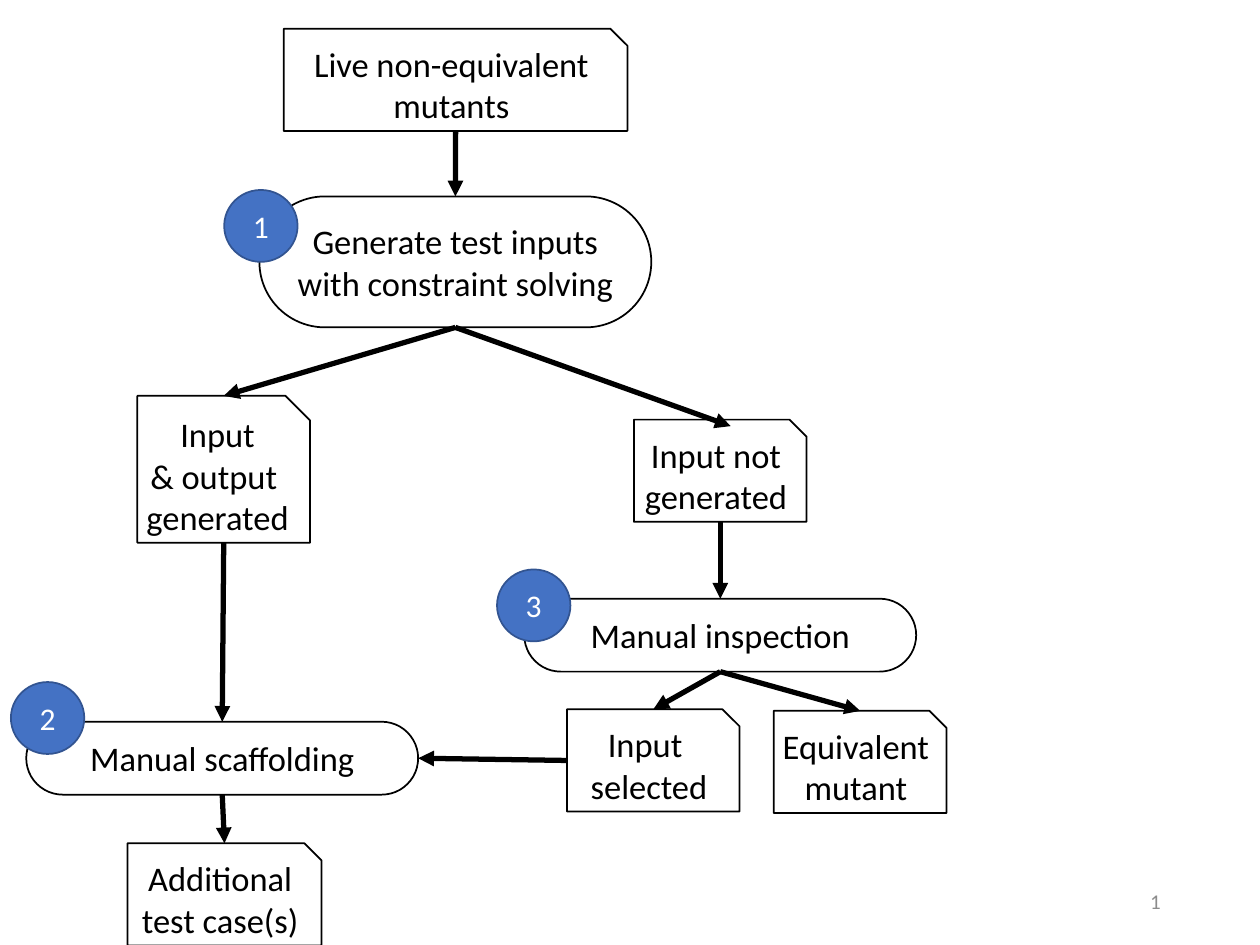
from pptx import Presentation
from pptx import util as u
from pptx.dml.color import RGBColor
from pptx.enum import shapes, text
from pptx.oxml.ns import qn
from lxml import etree

TOP, LEFT, BASE, RIGHT = range(4)
KIND = shapes.MSO_SHAPE
ALIGN = text.PP_ALIGN


def paint(color, value):
    color.rgb = RGBColor.from_string(value)


def write(shape, words, size, color, align=ALIGN.CENTER):
    frame = shape.text_frame
    frame.text = words
    frame.word_wrap = True
    frame.vertical_anchor = text.MSO_ANCHOR.MIDDLE
    for para in frame.paragraphs:
        para.alignment = align
        for run in para.runs:
            run.font.name = "Calibri"
            run.font.size = u.Pt(size)
            paint(run.font.color, color)


def add_shape(slide, kind, area, fill, line):
    shape = slide.shapes.add_shape(kind, *map(u.Cm, area))
    shape.shadow.inherit = False
    if fill:
        shape.fill.solid()
        paint(shape.fill.fore_color, fill)
    else:
        shape.fill.background()
    paint(shape.line.color, line)
    shape.line.width = u.Pt(1)
    frame = shape.text_frame
    frame.margin_left = frame.margin_right = u.Cm(0.1)
    frame.margin_top = frame.margin_bottom = u.Cm(0.1)
    return shape


def add_card(slide, words, left, top, width=3.48, height=2.06):
    area = (left, top, width, height)
    card = add_shape(slide, KIND.SNIP_1_RECTANGLE, area, None, "000000")
    write(card, words, 19.7, "000000")
    return card


def add_step(slide, words, left, top, height=1.47):
    area = (left, top, 7.9, height)
    step = add_shape(slide, KIND.ROUNDED_RECTANGLE, area, "FFFFFF", "000000")
    step.adjustments[0] = 0.5
    write(step, words, 19.7, "000000")
    return step


def add_badge(slide, words, left, top):
    area = (left, top, 1.48, 1.45)
    badge = add_shape(slide, KIND.OVAL, area, "4472C4", "325491")
    write(badge, words, 18, "FFFFFF")


def add_arrow(slide, start, side, end=None, port=TOP, point=(0, 0)):
    x, y = map(u.Cm, point)
    arrow = slide.shapes.add_connector(
        shapes.MSO_CONNECTOR.STRAIGHT, x, y, x, y)
    arrow.begin_connect(start, side)
    if end is not None:
        arrow.end_connect(end, port)
    paint(arrow.line.color, "000000")
    arrow.line.width = u.Pt(3)
    tail = etree.SubElement(arrow.line._get_or_add_ln(), qn("a:tailEnd"))
    tail.set("type", "triangle")
    etree.SubElement(arrow._element.spPr, qn("a:effectLst"))


def add_number(slide, words):
    box = slide.shapes.add_textbox(*map(u.Cm, (17.93, 17.65, 5.72, 1.02)))
    write(box, words, 12, "8C8C8C", ALIGN.RIGHT)


def main():
    deck = Presentation()
    deck.slide_width, deck.slide_height = u.Cm(25.4), u.Cm(19.05)
    slide = deck.slides.add_slide(deck.slide_layouts[6])
    add_number(slide, "1")

    live = add_card(slide, "Live non-equivalent\nmutants", 5.72, 0.58, 6.93)
    solve = add_step(
        slide, "Generate test inputs\nwith constraint solving", 5.23, 3.96, 2.64)
    found = add_card(
        slide, "Input\n& output \ngenerated", 2.77, 7.98, height=2.96)
    missed = add_card(slide, "Input not\ngenerated", 12.78, 8.46)
    scaffold = add_step(slide, "Manual scaffolding", 0.53, 14.55)
    extra = add_card(slide, "Additional\ntest case(s)", 2.57, 17, 3.91)
    inspect = add_step(slide, "Manual inspection", 10.57, 12.07)
    chosen = add_card(slide, "Input \nselected", 11.43, 14.3)
    same = add_card(slide, "Equivalent\nmutant", 15.6, 14.33)

    for start, end in ((live, solve), (solve, found), (found, scaffold),
                       (scaffold, extra), (missed, inspect),
                       (inspect, chosen), (inspect, same)):
        add_arrow(slide, start, BASE, end)
    add_arrow(slide, chosen, LEFT, scaffold, RIGHT)
    add_arrow(slide, solve, BASE, point=(14.73, 8.59))

    for words, left, top in (("1", 4.52, 3.83), ("2", 0.22, 13.75),
                             ("3", 10.02, 11.48)):
        add_badge(slide, words, left, top)

    deck.save("out.pptx")


if __name__ == "__main__":
    main()
